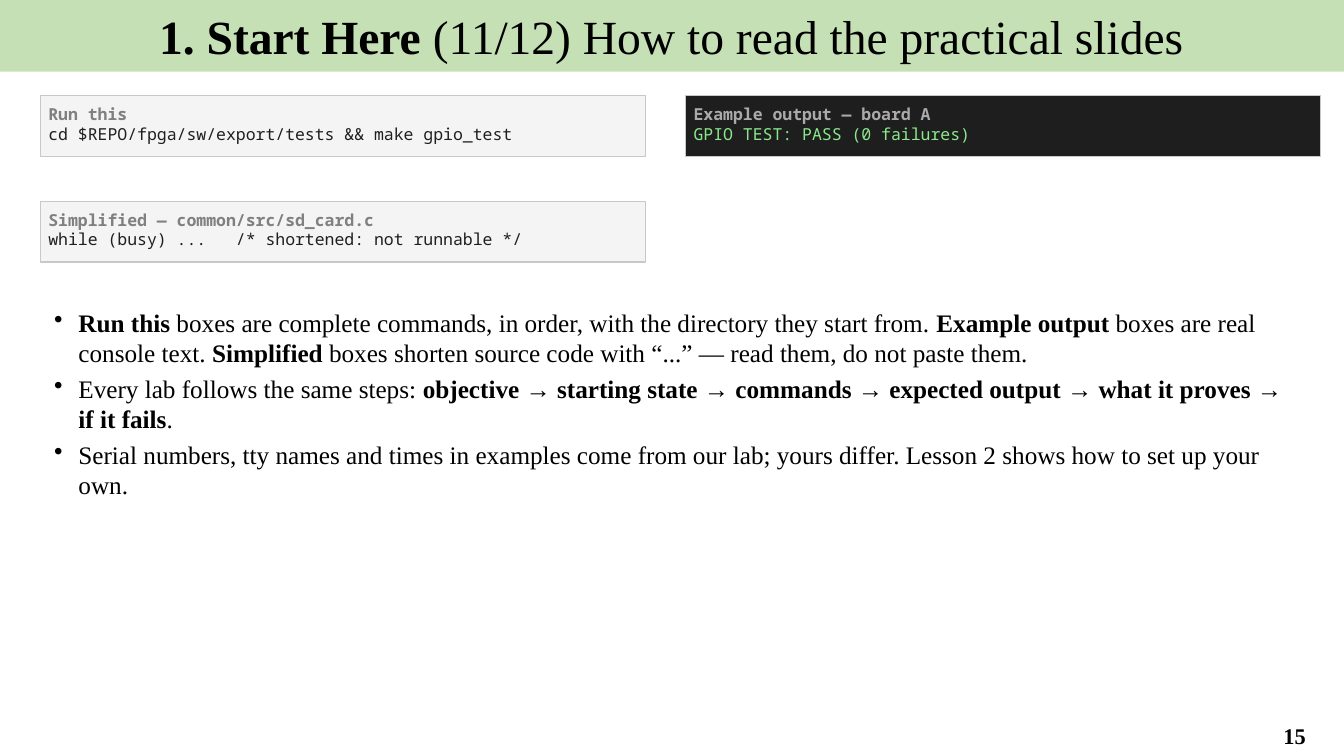
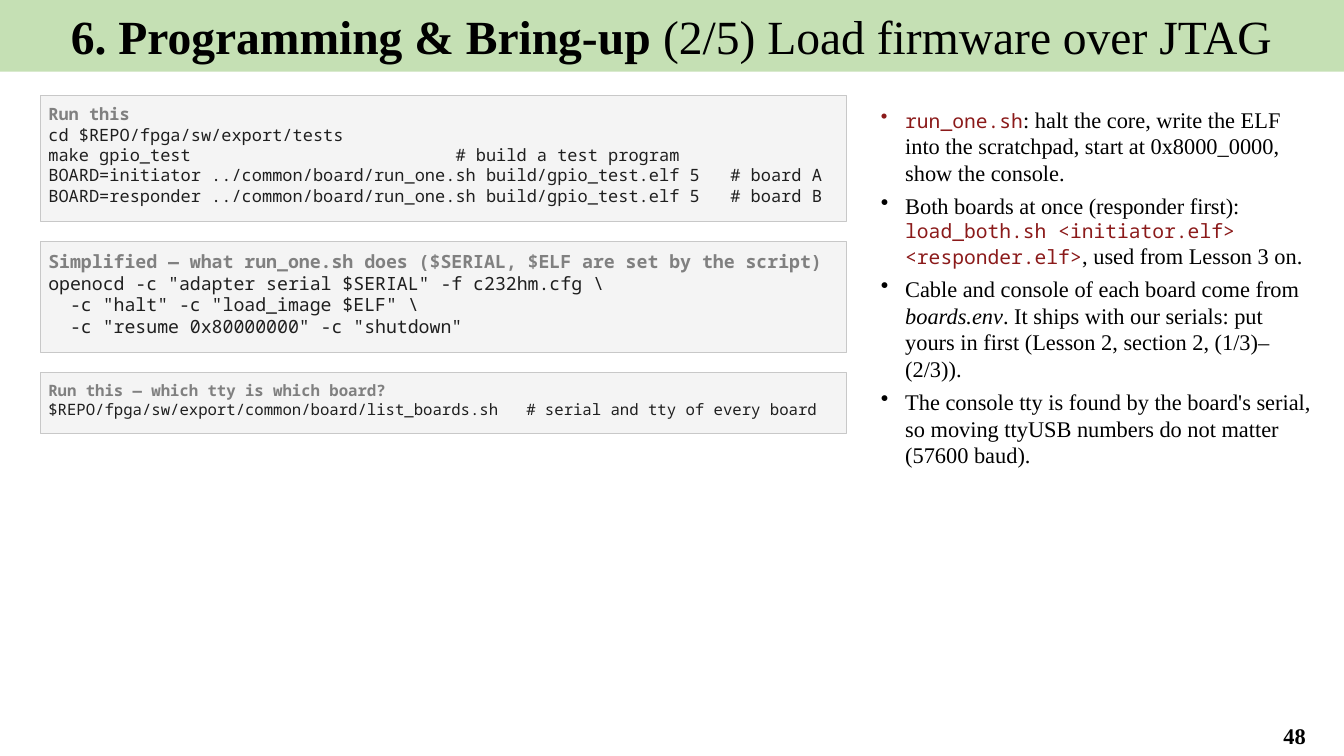
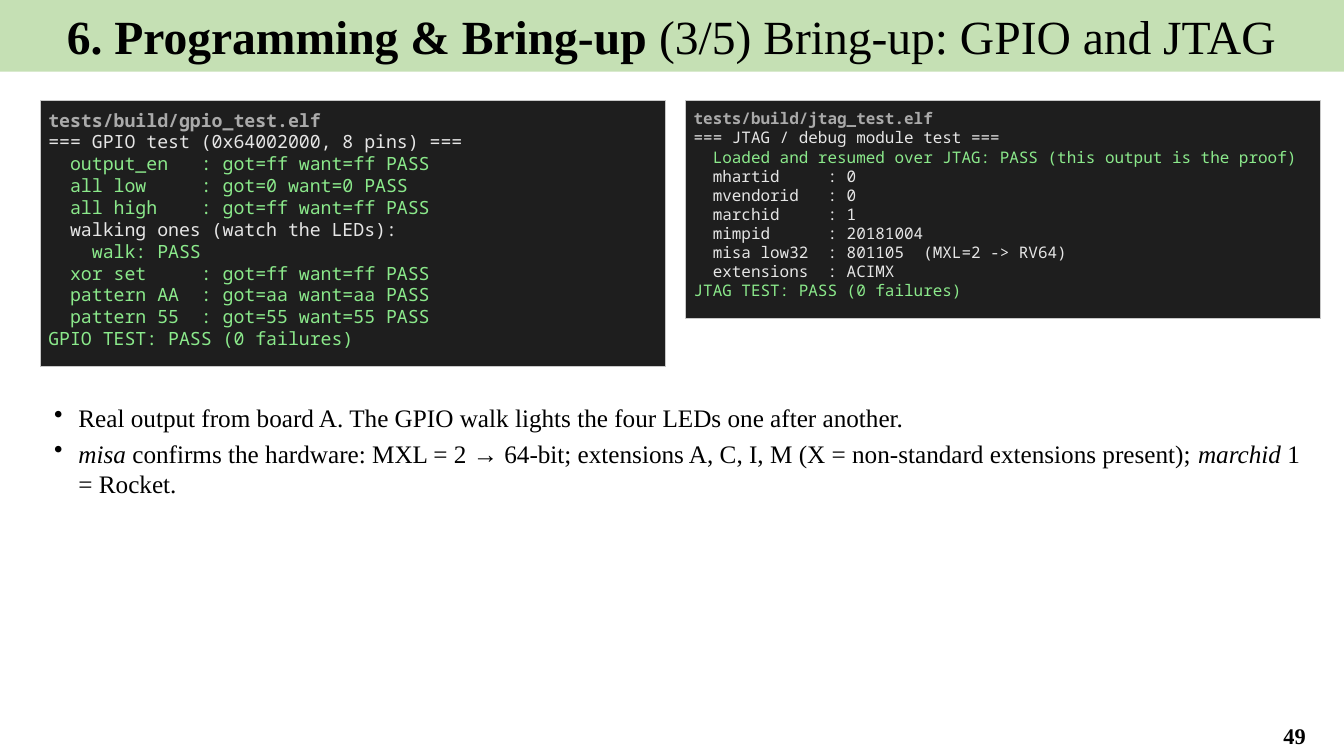
from pptx import Presentation
from pptx.dml.color import RGBColor
from pptx.enum.shapes import MSO_SHAPE as Shape
from pptx.enum.text import MSO_ANCHOR as Anchor, PP_ALIGN as Align
from pptx.oxml.ns import qn
from pptx.util import Inches, Pt
from lxml.etree import SubElement

# Shared look
SERIF, MONO = "Times New Roman", "Noto Sans Mono"
BLACK, BAND, EDGE, RED = "000000", "C5E0B4", "C8C8C8", "8B1A1A"
LIGHT = dict(fill="F4F4F4", head="808080", text="1F1F1F", good="1F1F1F")
DARK = dict(fill="1E1E1E", head="AAAAAA", text="E6E6E6", good="8BE98B")
LEFT, RIGHT = 0.4, 6.8


def rgb(code):
    return RGBColor.from_string(code)


def write(para, text, size=18, font=SERIF, color=BLACK, bold=False, italic=False):
    run = para.add_run()
    run.text = text
    face = run.font
    face.size, face.name = Pt(size), font
    face.bold, face.italic = bold, italic
    face.color.rgb = rgb(color)


def lines(frame, count):
    """Return the frame's paragraphs, grown to the wanted count."""
    while len(frame.paragraphs) < count:
        frame.add_paragraph()
    return frame.paragraphs


def panel(slide, box, fill, edge=None):
    shape = slide.shapes.add_shape(Shape.RECTANGLE, *map(Inches, box))
    shape.shadow.inherit = False
    shape.fill.solid()
    shape.fill.fore_color.rgb = rgb(fill)
    if edge:
        shape.line.color.rgb = rgb(edge)
        shape.line.width = Pt(0.75)
    else:
        shape.line.fill.background()
    return shape.text_frame


def label(slide, box):
    frame = slide.shapes.add_textbox(*map(Inches, box)).text_frame
    frame.word_wrap = True
    return frame


def base(deck, lesson, topic, number):
    """Add a slide with its title band and page number."""
    slide = deck.slides.add_slide(deck.slide_layouts[6])
    band = panel(slide, (-0.01, 0, 13.34, 0.71), BAND)
    page = label(slide, (12.35, 7.1, 0.98, 0.39))
    for frame in (band, page):
        frame.vertical_anchor = Anchor.MIDDLE
        frame.paragraphs[0].alignment = Align.CENTER
    write(band.paragraphs[0], lesson + " ", size=34, bold=True)
    write(band.paragraphs[0], topic, size=34)
    write(page.paragraphs[0], str(number), size=16, bold=True)
    return slide


def code(slide, box, text, size, look=LIGHT):
    """Draw a code box: first line is the heading, passed tests stand out."""
    frame = panel(slide, box, look["fill"], EDGE)
    frame.word_wrap = False
    frame.vertical_anchor = Anchor.TOP
    frame.margin_left = frame.margin_right = Inches(0.08)
    frame.margin_top = frame.margin_bottom = Inches(0.08)
    rows = text.strip("\n").split("\n")
    for i, (para, row) in enumerate(zip(lines(frame, len(rows)), rows)):
        para.alignment = Align.LEFT
        tone = "head" if i == 0 else "good" if "PASS" in row else "text"
        write(para, row, size=size, font=MONO, color=look[tone], bold=i == 0)


def notes(slide, box, items, size=18):
    """Draw a bullet list; each item is a list of strings or (style, string)."""
    frame = label(slide, box)
    styles = dict(
        plain=dict(size=size),
        bold=dict(size=size, bold=True),
        ital=dict(size=size, italic=True),
        code=dict(size=size - 2, font=MONO, color=RED),
    )
    for para, item in zip(lines(frame, len(items)), items):
        props = para._p.get_or_add_pPr()
        props.set("marL", str(Inches(0.28)))
        props.set("indent", str(Inches(-0.24)))
        SubElement(props, qn("a:buChar")).set("char", "•")
        para.space_after = Pt(4)
        for part in item:
            style, text = ("plain", part) if isinstance(part, str) else part
            write(para, text, **styles[style])


def guide(deck):
    slide = base(deck, "1. Start Here", "(11/12) How to read the practical slides", 15)
    # Sample boxes
    code(slide, (LEFT, 0.95, 6, 0.6), """
Run this
cd $REPO/fpga/sw/export/tests && make gpio_test""", 11.8)
    code(slide, (RIGHT, 0.95, 6.3, 0.6), """
Example output — board A
GPIO TEST: PASS (0 failures)""", 11.8, DARK)
    code(slide, (LEFT, 2, 6, 0.6), """
Simplified — common/src/sd_card.c
while (busy) ...   /* shortened: not runnable */""", 11.8)
    # Reading rules
    notes(slide, (LEFT, 3, 12.5, 4), [
        [("bold", "Run this"),
         " boxes are complete commands, in order, with the directory they start from. ",
         ("bold", "Example output"), " boxes are real console text. ",
         ("bold", "Simplified"),
         " boxes shorten source code with “...” — read them, do not paste them."],
        ["Every lab follows the same steps: ",
         ("bold", "objective → starting state → commands → expected output"
                  " → what it proves → if it fails"), "."],
        ["Serial numbers, tty names and times in examples come from our lab; "
         "yours differ. Lesson 2 shows how to set up your own."],
    ])


def load(deck):
    slide = base(deck, "6. Programming & Bring-up", "(2/5) Load firmware over JTAG", 48)
    # Commands
    code(slide, (LEFT, 0.95, 8, 1.25), """
Run this
cd $REPO/fpga/sw/export/tests
make gpio_test                          # build a test program
BOARD=initiator ../common/board/run_one.sh build/gpio_test.elf 5   # board A
BOARD=responder ../common/board/run_one.sh build/gpio_test.elf 5   # board B""", 12.1)
    code(slide, (LEFT, 2.4, 8, 1.1), r"""
Simplified — what run_one.sh does ($SERIAL, $ELF are set by the script)
openocd -c "adapter serial $SERIAL" -f c232hm.cfg \
  -c "halt" -c "load_image $ELF" \
  -c "resume 0x80000000" -c "shutdown"
""", 13)
    code(slide, (LEFT, 3.7, 8, 0.6), """
Run this — which tty is which board?
$REPO/fpga/sw/export/common/board/list_boards.sh   # serial and tty of every board""", 11.2)
    # Side notes
    notes(slide, (8.6, 1, 4.5, 5.9), [
        [("code", "run_one.sh"),
         ": halt the core, write the ELF into the scratchpad, "
         "start at 0x8000_0000, show the console."],
        ["Both boards at once (responder first): ",
         ("code", "load_both.sh <initiator.elf> <responder.elf>"),
         ", used from Lesson 3 on."],
        ["Cable and console of each board come from ", ("ital", "boards.env"),
         ". It ships with our serials: put yours in first "
         "(Lesson 2, section 2, (1/3)–(2/3))."],
        ["The console tty is found by the board's serial, so moving ttyUSB "
         "numbers do not matter (57600 baud)."],
    ], size=16)


def check(deck):
    slide = base(deck, "6. Programming & Bring-up", "(3/5) Bring-up: GPIO and JTAG", 49)
    # Console output
    code(slide, (LEFT, 1, 6.2, 2.64), """
tests/build/gpio_test.elf
=== GPIO test (0x64002000, 8 pins) ===
  output_en   : got=ff want=ff PASS
  all low     : got=0 want=0 PASS
  all high    : got=ff want=ff PASS
  walking ones (watch the LEDs):
    walk: PASS
  xor set     : got=ff want=ff PASS
  pattern AA  : got=aa want=aa PASS
  pattern 55  : got=55 want=55 PASS
GPIO TEST: PASS (0 failures)""", 13, DARK)
    code(slide, (RIGHT, 1, 6.3, 2.16), """
tests/build/jtag_test.elf
=== JTAG / debug module test ===
  Loaded and resumed over JTAG: PASS (this output is the proof)
  mhartid     : 0
  mvendorid   : 0
  marchid     : 1
  mimpid      : 20181004
  misa low32  : 801105  (MXL=2 -> RV64)
  extensions  : ACIMX
JTAG TEST: PASS (0 failures)""", 11.4, DARK)
    # Findings
    notes(slide, (LEFT, 3.94, 12.7, 1.8), [
        ["Real output from board A. The GPIO walk lights the four LEDs one after another."],
        [("ital", "misa"),
         " confirms the hardware: MXL = 2 → 64-bit; extensions A, C, I, M "
         "(X = non-standard extensions present); ",
         ("ital", "marchid"), " 1 = Rocket."],
    ])


def main():
    deck = Presentation()
    deck.slide_width, deck.slide_height = Inches(13.33), Inches(7.5)
    for build in (guide, load, check):
        build(deck)
    deck.save("out.pptx")


if __name__ == "__main__":
    main()
